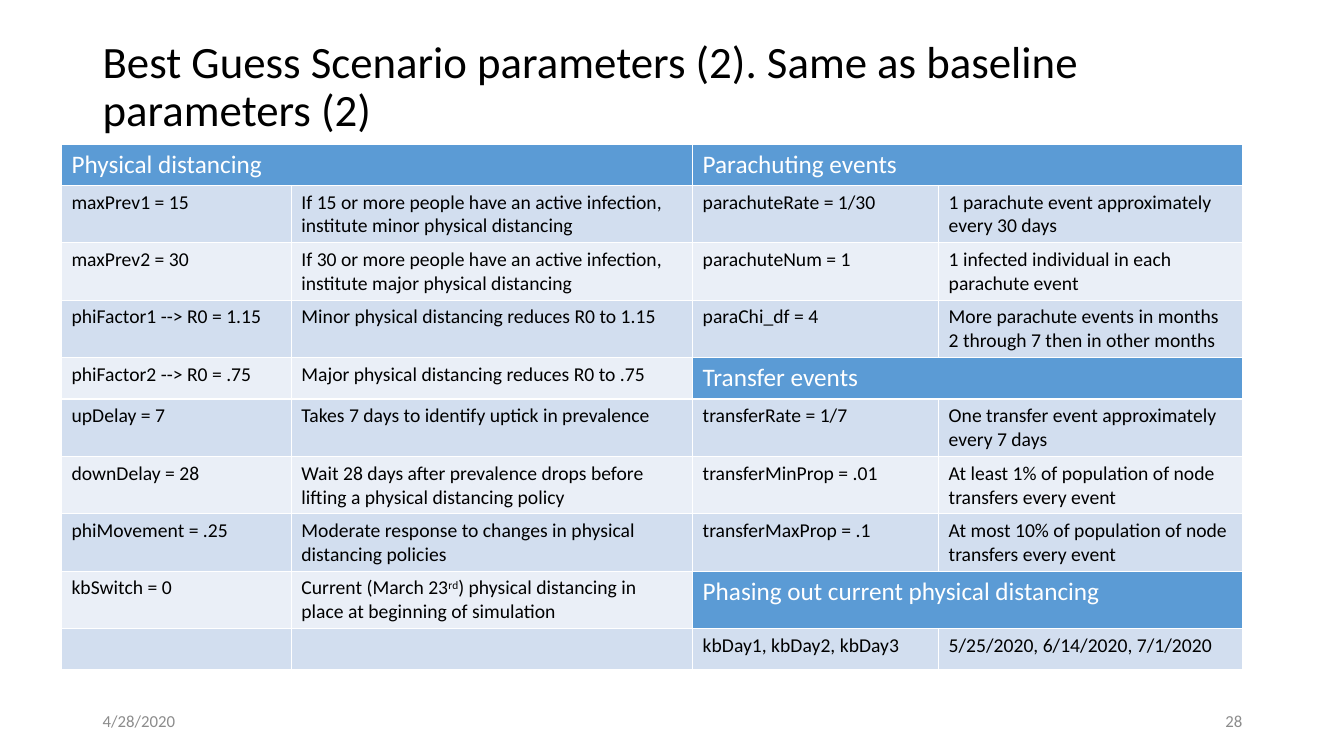
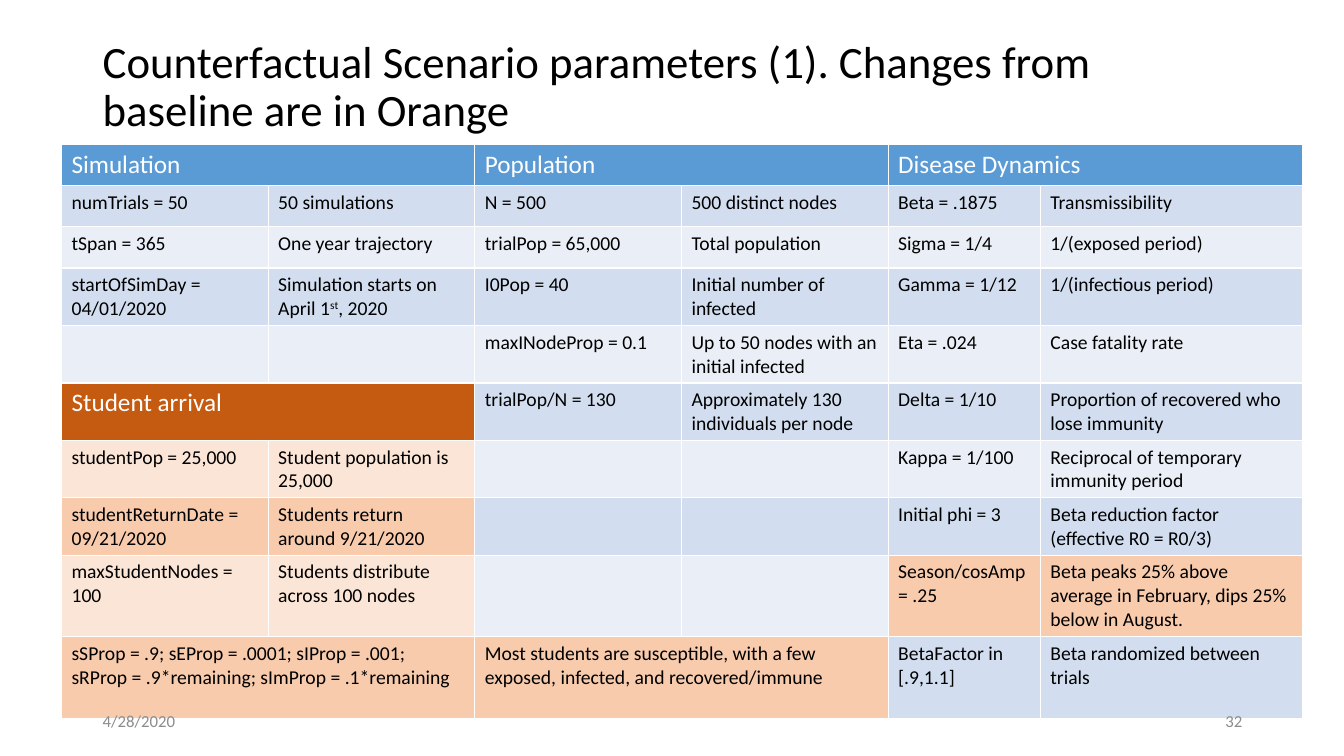
"""Build two slides of scenario parameter tables."""
from pptx import Presentation, util as u
from pptx.dml.color import RGBColor
from pptx.enum import text

COLORS = {
    "header": "5B9BD5", "band": "D2DEEF", "pale": "EAEFF7",
    "orange header": "C55A11", "orange band": "F8CBAD", "orange pale": "FBE5D6",
    "white": "FFFFFF", "black": "000000", "gray": "8C8C8C",
}
FONT = "Calibri"
FORMATS = {
    "title": {"size": u.Pt(32), "name": FONT, "bold": False},
    "header": {"size": u.Pt(18), "name": FONT, "bold": False},
    "body": {"size": u.Pt(14), "name": FONT, "bold": False},
    "footer": {"size": u.Pt(12), "name": FONT, "bold": False},
}
ROW_HEIGHTS = {1: 0.41, 2: 0.57, 3: 0.81}
DATE = "4/28/2020"

SLIDES = [
    {
        "title": "Best Guess Scenario parameters (2). Same as baseline parameters (2)",
        "number": "28",
        "widths": [2.28, 3.98, 2.44, 3.01],
        "lines": [1, 2, 2, 2, 1, 2, 2, 2, 2, 1],
        "fills": {(4, 2): "header", (8, 2): "header"},
        "rows": [
            ["Physical distancing", None, "Parachuting events", None],
            ["maxPrev1 = 15",
             "If 15 or more people have an active infection, institute minor physical distancing",
             "parachuteRate = 1/30", "1 parachute event approximately every 30 days"],
            ["maxPrev2 = 30",
             "If 30 or more people have an active infection, institute major physical distancing",
             "parachuteNum = 1", "1 infected individual in each parachute event"],
            ["phiFactor1 --> R0 = 1.15", "Minor physical distancing reduces R0 to 1.15",
             "paraChi_df = 4", "More parachute events in months 2 through 7 then in other months"],
            ["phiFactor2 --> R0 = .75", "Major physical distancing reduces R0 to .75",
             "Transfer events", None],
            ["upDelay = 7", "Takes 7 days to identify uptick in prevalence",
             "transferRate = 1/7", "One transfer event approximately every 7 days"],
            ["downDelay = 28",
             "Wait 28 days after prevalence drops before lifting a physical distancing policy",
             "transferMinProp = .01", "At least 1% of population of node transfers every event"],
            ["phiMovement = .25", "Moderate response to changes in physical distancing policies",
             "transferMaxProp = .1", "At most 10% of population of node transfers every event"],
            ["kbSwitch = 0",
             "Current (March 23^rd^) physical distancing in place at beginning of simulation",
             "Phasing out current physical distancing", None],
            ["", "", "kbDay1, kbDay2, kbDay3", "5/25/2020, 6/14/2020, 7/1/2020"],
        ],
    },
    {
        "title": "Counterfactual Scenario parameters (1). Changes from baseline are in Orange",
        "number": "32",
        "widths": [2.05, 2.05, 2.05, 2.05, 1.51, 2.6],
        "lines": [1, 1, 1, 2, 2, 2, 2, 2, 3, 3],
        "fills": {
            (5, 0): "orange header",
            (6, 0): "orange pale", (6, 1): "orange pale",
            (7, 0): "orange band", (7, 1): "orange band",
            (8, 0): "orange pale", (8, 1): "orange pale",
            (8, 4): "orange band", (8, 5): "orange band",
            (9, 0): "orange band", (9, 2): "orange band",
        },
        "rows": [
            ["Simulation", None, "Population", None, "Disease Dynamics", None],
            ["numTrials = 50", "50 simulations", "N = 500", "500 distinct nodes",
             "Beta = .1875", "Transmissibility"],
            ["tSpan = 365", "One year trajectory", "trialPop = 65,000", "Total population",
             "Sigma = 1/4", "1/(exposed period)"],
            ["startOfSimDay = 04/01/2020", "Simulation starts on April 1^st^, 2020",
             "I0Pop = 40", "Initial number of infected",
             "Gamma = 1/12", "1/(infectious period)"],
            ["", "", "maxINodeProp = 0.1", "Up to 50 nodes with an initial infected",
             "Eta = .024", "Case fatality rate"],
            ["Student arrival", None, "trialPop/N = 130", "Approximately 130 individuals per node",
             "Delta = 1/10", "Proportion of recovered who lose immunity"],
            ["studentPop = 25,000", "Student population is 25,000", "", "",
             "Kappa = 1/100", "Reciprocal of temporary immunity period"],
            ["studentReturnDate = 09/21/2020", "Students return around 9/21/2020", "", "",
             "Initial phi = 3", "Beta reduction factor (effective R0 = R0/3)"],
            ["maxStudentNodes = 100", "Students distribute across 100 nodes", "", "",
             "Season/cosAmp = .25",
             "Beta peaks 25% above average in February, dips 25% below in August."],
            ["sSProp = .9; sEProp = .0001; sIProp = .001; sRProp = .9*remaining; sImProp = .1*remaining",
             None, "Most students are susceptible, with a few exposed, infected, and recovered/immune",
             None, "BetaFactor in [.9,1.1]", "Beta randomized between trials"],
        ],
    },
]


def write(paragraph, content, style, color):
    for index, part in enumerate(content.split("^") if content else []):
        run = paragraph.add_run()
        run.text = part
        for name, value in FORMATS[style].items():
            setattr(run.font, name, value)
        run.font.color.rgb = RGBColor.from_string(COLORS[color])
        if index % 2:
            run._r.get_or_add_rPr().set("baseline", "30000")


def add_text(slide, box, content, style, color, align=text.PP_ALIGN.LEFT, spacing=1.0):
    frame = slide.shapes.add_textbox(*map(u.Inches, box)).text_frame
    frame.word_wrap = True
    frame.vertical_anchor = text.MSO_ANCHOR.MIDDLE
    paragraph = frame.paragraphs[0]
    paragraph.alignment = align
    paragraph.line_spacing = spacing
    write(paragraph, content, style, color)


presentation = Presentation()
presentation.slide_width = u.Inches(13.33)
presentation.slide_height = u.Inches(7.5)

for data in SLIDES:
    slide = presentation.slides.add_slide(presentation.slide_layouts[6])
    add_text(slide, (0.92, 0.15, 11.5, 1.45), data["title"], "title", "black", spacing=0.9)

    rows, widths = data["rows"], data["widths"]
    heights = [ROW_HEIGHTS[count] for count in data["lines"]]
    box = (0.61, 1.43, sum(widths), sum(heights))
    table = slide.shapes.add_table(len(rows), len(widths), *map(u.Inches, box)).table
    for column, width in zip(table.columns, widths):
        column.width = u.Inches(width)
    for row, height in zip(table.rows, heights):
        row.height = u.Inches(height)

    for r, row in enumerate(rows):
        default = "header" if r == 0 else "band" if r % 2 else "pale"
        for c, content in enumerate(row):
            if content is None:
                table.cell(r, c - 1).merge(table.cell(r, c))
                continue
            cell = table.cell(r, c)
            fill = data["fills"].get((r, c), default)
            cell.fill.solid()
            cell.fill.fore_color.rgb = RGBColor.from_string(COLORS[fill])
            heading = fill.endswith("header")
            write(cell.text_frame.paragraphs[0], content,
                  "header" if heading else "body", "white" if heading else "black")

    add_text(slide, (0.92, 6.95, 3, 0.4), DATE, "footer", "gray")
    add_text(slide, (9.42, 6.95, 3, 0.4), data["number"], "footer", "gray", text.PP_ALIGN.RIGHT)

presentation.save("out.pptx")
